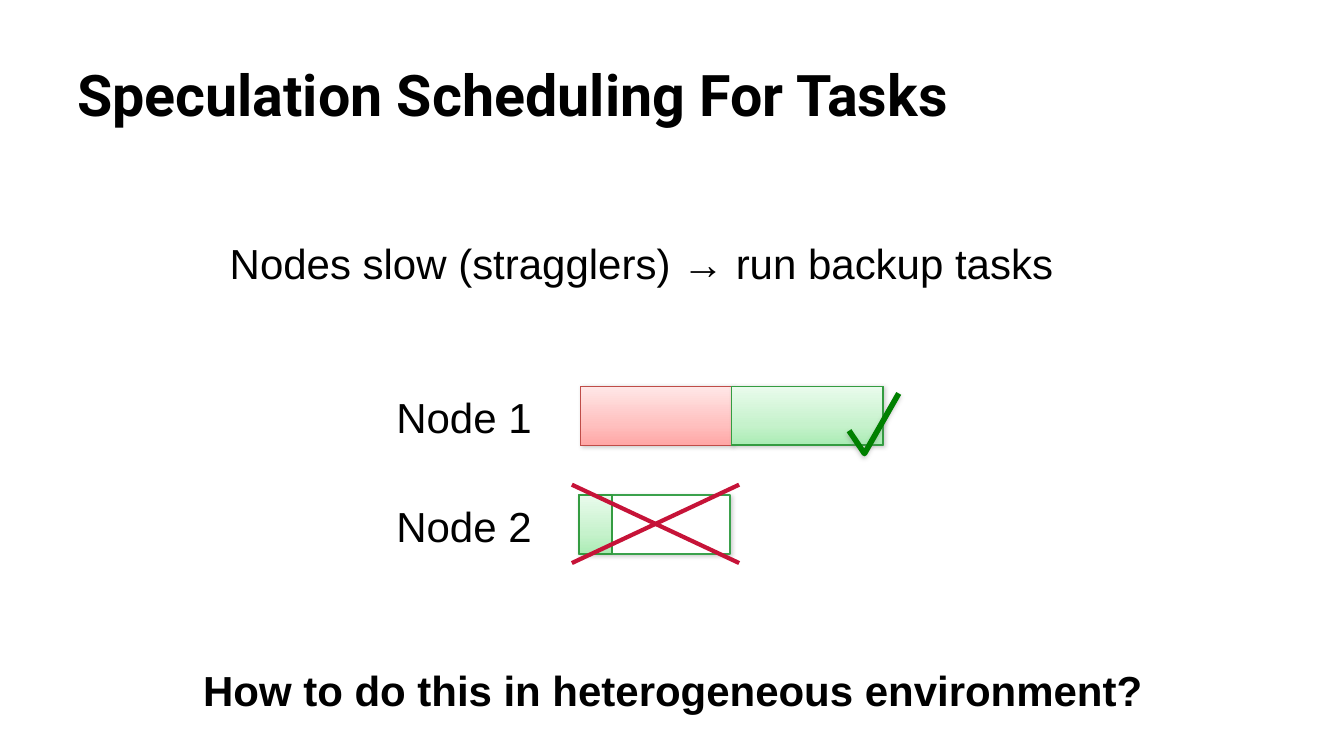
from copy import deepcopy

from lxml.etree import SubElement
from pptx import Presentation
from pptx.dml.color import RGBColor
from pptx.enum.shapes import MSO_CONNECTOR, MSO_SHAPE
from pptx.enum.text import MSO_ANCHOR
from pptx.oxml.ns import qn
from pptx.util import Pt

COLORS = {
    "text": "000000",
    "paper": "FFFFFF",
    "shadow": "808080",
    "cross": "C61338",
    "check": "008000",
    "slow_frame": "C0504D",
    "slow_edge": "BF4C48",
    "slow_low": "FFA6A5",
    "slow_mid": "FFC0BF",
    "slow_high": "FFE7E7",
    "backup_frame": "3BA14C",
    "backup_edge": "349C41",
    "backup_low": "AAECB4",
    "backup_mid": "C6F2CC",
    "backup_high": "E9FBEC",
}
EDGE_WIDTHS = {"slow": 0.75, "backup": 1}
TASK_WIDTH, TASK_HEIGHT = 108, 42


def color(name):
    return RGBColor.from_string(COLORS[name])


def add_text(slide, box, wording, size=30, font="Arial", bold=False):
    frame = slide.shapes.add_textbox(*map(Pt, box)).text_frame
    frame.word_wrap = True
    frame.text = wording
    face = frame.paragraphs[0].runs[0].font
    face.name, face.size, face.bold = font, Pt(size), bold
    face.color.rgb = color("text")
    return frame


def add_shadow(shape, degrees):
    shape.shadow.inherit = False
    effects = shape._element.spPr.find(qn("a:effectLst"))
    outer = SubElement(effects, qn("a:outerShdw"), blurRad=str(Pt(3.1)),
                       dist=str(Pt(1.6)), dir=str(degrees * 60000),
                       rotWithShape="0")
    tone = SubElement(outer, qn("a:srgbClr"), val=COLORS["shadow"])
    SubElement(tone, qn("a:alpha"), val="38000")


def add_bar(slide, left, top, width, edge, edge_width):
    bar = slide.shapes.add_shape(MSO_SHAPE.RECTANGLE, Pt(left), Pt(top),
                                 Pt(width), Pt(TASK_HEIGHT))
    bar.shadow.inherit = False
    bar.line.color.rgb = color(edge)
    bar.line.width = Pt(edge_width)
    return bar


def add_task(slide, left, top, kind, progress=1):
    frame = add_bar(slide, left, top, TASK_WIDTH, f"{kind}_frame", 1)
    frame.fill.solid()
    frame.fill.fore_color.rgb = color("paper")
    add_shadow(frame, 45)

    done = add_bar(slide, left, top, TASK_WIDTH * progress,
                   f"{kind}_edge", EDGE_WIDTHS[kind])
    done.fill.gradient()
    done.fill.gradient_angle = 90
    stop_list = done._element.spPr.find(f".//{qn('a:gsLst')}")
    stop_list.append(deepcopy(stop_list[0]))
    shades = (("low", 0), ("mid", 0.35), ("high", 1))
    for stop, (shade, position) in zip(done.fill.gradient_stops, shades):
        stop.color.rgb = color(f"{kind}_{shade}")
        stop.position = position


def add_cross(slide, left, top, width, height):
    cross = slide.shapes.add_group_shape()
    for start, end in ((top, top + height), (top + height, top)):
        stroke = cross.shapes.add_connector(
            MSO_CONNECTOR.STRAIGHT, Pt(left), Pt(start), Pt(left + width), Pt(end))
        stroke.line.color.rgb = color("cross")
        stroke.line.width = Pt(3)
        SubElement(stroke._element.spPr, qn("a:effectLst"))


def add_check(slide, left, top, width, height):
    outline = slide.shapes.build_freeform(Pt(left), Pt(top + height * 0.62))
    outline.add_line_segments(
        [(Pt(left + width * 0.31), Pt(top + height)), (Pt(left + width), Pt(top))],
        close=False)
    check = outline.convert_to_shape()
    check.fill.background()
    check.line.color.rgb = color("check")
    check.line.width = Pt(4)
    add_shadow(check, 90)


def add_node_1(slide, left, top):
    add_text(slide, (left, top, 117, 44), "Node 1")
    add_task(slide, left + 138.7, top, "slow")
    add_task(slide, left + 138.7 + TASK_WIDTH, top, "backup")
    add_check(slide, left + 330.5, top + 5, 35.5, 43)


def add_node_2(slide, left, top):
    add_text(slide, (left, top, 117, 44), "Node 2")
    add_task(slide, left + 137.5, top, "backup", 0.22)
    add_cross(slide, left + 132.5, top - 7.5, 119.5, 56)


def add_messages(slide, left, top, width, height):
    title = add_text(slide, (left, top, width, 90),
                     "Speculation Scheduling For Tasks", 41, "Roboto", True)
    title.vertical_anchor = MSO_ANCHOR.MIDDLE
    add_text(slide, (left + 109, top + 144.5, 648, 44),
             "Nodes slow (stragglers) → run backup tasks")
    add_text(slide, (left + 90, top + height - 60, 708, 60),
             "How to do this in heterogeneous environment?", bold=True)


def main():
    deck = Presentation()
    deck.slide_width, deck.slide_height = Pt(960), Pt(540)
    slide = deck.slides.add_slide(deck.slide_layouts[6])
    add_messages(slide, 48, 21.6, 864, 509.4)
    add_node_1(slide, 276, 276)
    add_node_2(slide, 276, 353.7)
    deck.save("out.pptx")


if __name__ == "__main__":
    main()
